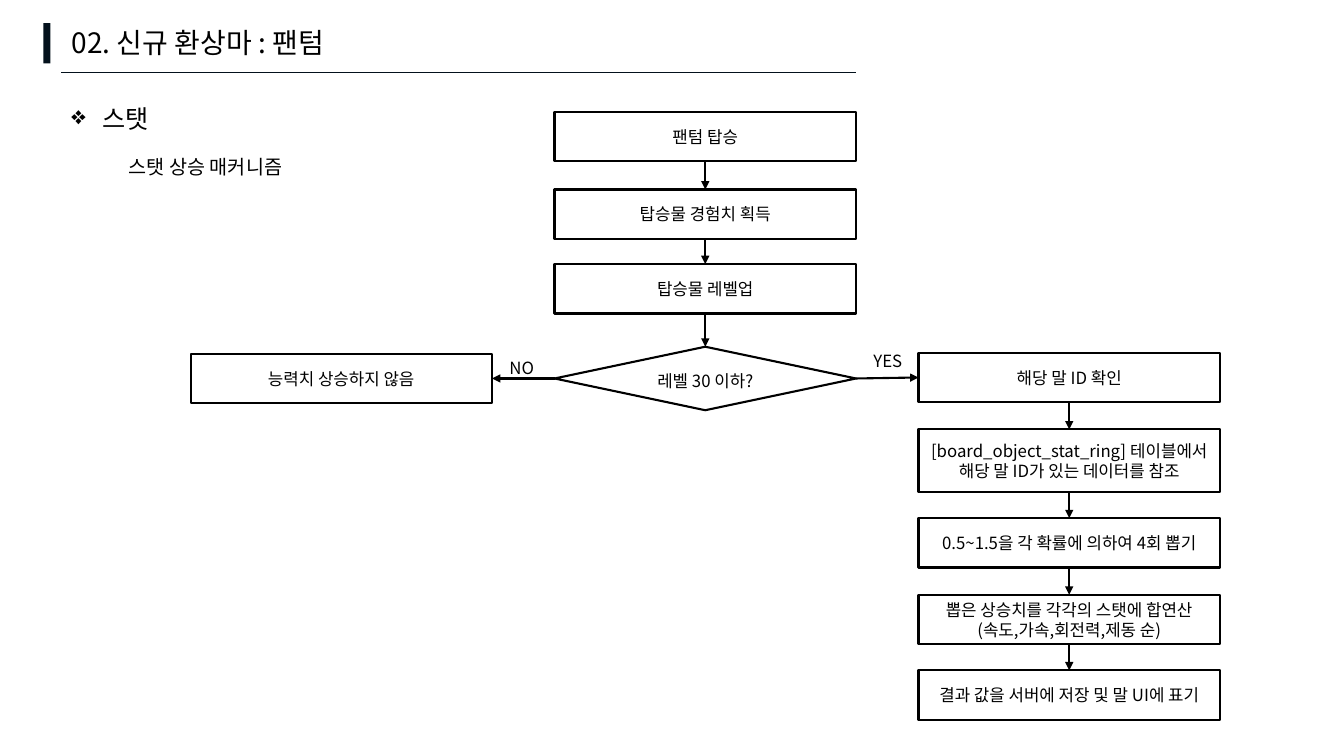
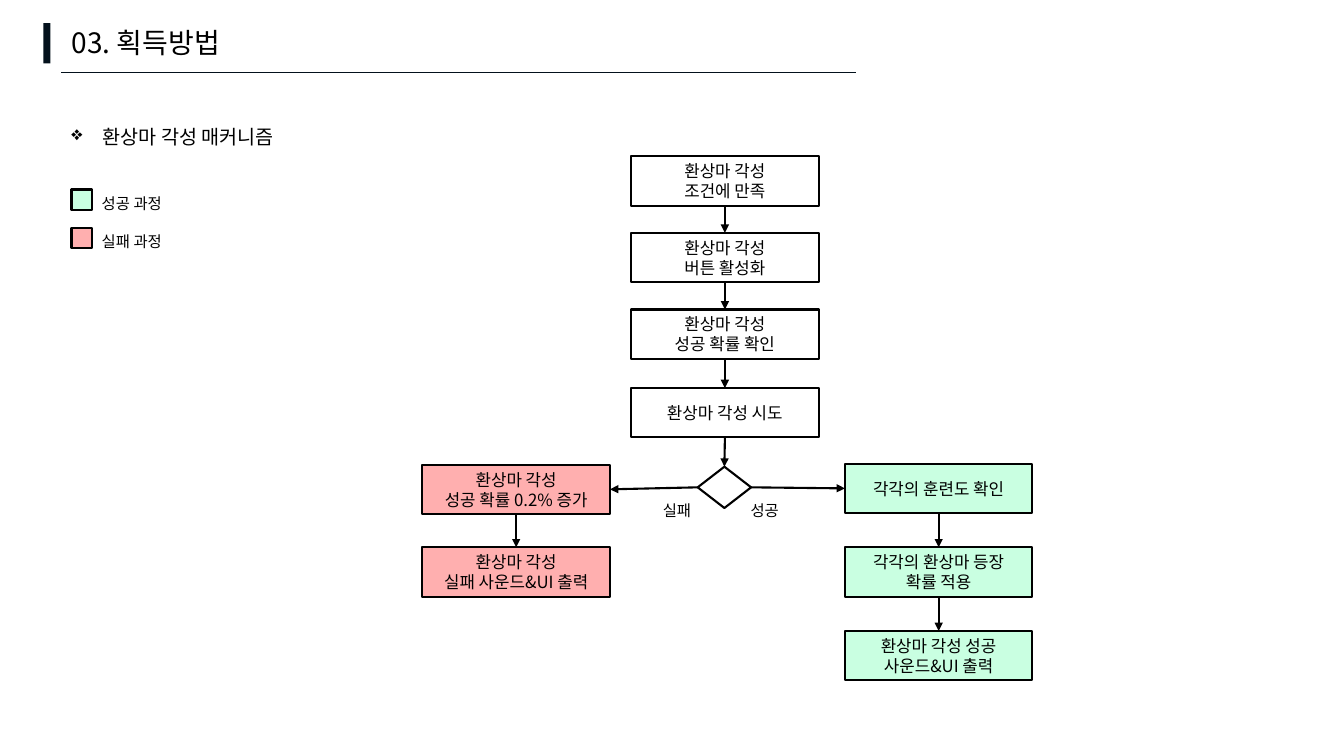
from dataclasses import dataclass

from lxml import etree
from pptx import Presentation
from pptx import util as u
from pptx.dml.color import RGBColor
from pptx.enum import shapes, text
from pptx.oxml.ns import qn
from pptx.shapes.autoshape import Shape
from pptx.slide import Slide

FONT = "Noto Sans CJK KR"
BLACK, WHITE, NAVY = "000000", "FFFFFF", "03111C"
GREEN, RED = "C9FFE1", "FFAFAF"
STEP_HEIGHT = 0.49
TOP, LEFT, BOTTOM, RIGHT = range(4)  # connection sites of a box or diamond


@dataclass
class Step:
    top: float
    words: str
    height: float = STEP_HEIGHT


@dataclass
class Column:
    left: float
    width: float
    steps: list[Step]
    fill: str = WHITE


@dataclass
class Label:
    left: float
    top: float
    width: float
    height: float
    words: str
    size: int
    centred: bool = False
    bullet: bool = False


def colour(value: str) -> RGBColor:
    return RGBColor.from_string(value)


def write(frame, words: str, size: int, align=text.PP_ALIGN.LEFT,
          spacing: float = 1.0, bullet: bool = False) -> None:
    """Fill a text frame with one paragraph, broken at each newline."""
    frame.word_wrap = True
    para = frame.paragraphs[0]
    para.alignment = align
    para.line_spacing = spacing
    if bullet:
        props = para._p.get_or_add_pPr()
        indent = u.Inches(0.31)
        props.set("marL", str(indent))
        props.set("indent", str(-indent))
        etree.SubElement(props, qn("a:buChar")).set("char", "❖")
    for number, line in enumerate(words.split("\n")):
        if number:
            para.add_line_break()
        span = para.add_run()
        span.text = line
        span.font.size = u.Pt(size)
        span.font.name = FONT
        span.font.color.rgb = colour(BLACK)
        east_asian = etree.SubElement(span.font._element, qn("a:ea"))
        east_asian.set("typeface", FONT)


def add_block(page: Slide, left: float, top: float, width: float, height: float,
              fill: str = WHITE, outlined: bool = True,
              kind=shapes.MSO_SHAPE.RECTANGLE) -> Shape:
    block = page.shapes.add_shape(kind, u.Inches(left), u.Inches(top),
                                  u.Inches(width), u.Inches(height))
    block.shadow.inherit = False
    block.fill.solid()
    block.fill.fore_color.rgb = colour(fill)
    if outlined:
        block.line.color.rgb = colour(BLACK)
        block.line.width = u.Pt(1.5)
    else:
        block.line.fill.background()
    return block


def add_line(page: Slide, start: tuple[float, float], end: tuple[float, float],
             ink: str, weight: float):
    line = page.shapes.add_connector(
        shapes.MSO_CONNECTOR.STRAIGHT, *(u.Inches(n) for n in (*start, *end)))
    line.line.color.rgb = colour(ink)
    line.line.width = u.Pt(weight)
    etree.SubElement(line._element.spPr, qn("a:effectLst"))
    return line


def add_arrow(page: Slide, source: Shape, target: Shape,
              leave: int = BOTTOM, enter: int = TOP) -> None:
    """Join two shapes with an arrow glued to their connection sites."""
    arrow = add_line(page, (0, 0), (1, 1), BLACK, 1.5)
    arrow.begin_connect(source, leave)
    arrow.end_connect(target, enter)
    head = etree.SubElement(arrow.line._get_or_add_ln(), qn("a:tailEnd"))
    head.set("type", "triangle")


def add_column(page: Slide, column: Column) -> list[Shape]:
    """Draw a column of steps, each with an arrow to the next."""
    boxes: list[Shape] = []
    for step in column.steps:
        box = add_block(page, column.left, step.top, column.width, step.height,
                        column.fill)
        frame = box.text_frame
        frame.margin_left = frame.margin_right = u.Inches(0.05)
        frame.vertical_anchor = text.MSO_ANCHOR.MIDDLE
        write(frame, step.words, 12, text.PP_ALIGN.CENTER)
        if boxes:
            add_arrow(page, boxes[-1], box)
        boxes.append(box)
    return boxes


def add_label(page: Slide, label: Label) -> None:
    box = page.shapes.add_textbox(u.Inches(label.left), u.Inches(label.top),
                                  u.Inches(label.width), u.Inches(label.height))
    align = text.PP_ALIGN.CENTER if label.centred else text.PP_ALIGN.LEFT
    write(box.text_frame, label.words, label.size, align, 1.5, label.bullet)


def add_page(deck, heading: str) -> Slide:
    """Add a slide with the shared title, side bar and rule."""
    page = deck.slides.add_slide(deck.slide_layouts[5])
    title = page.shapes.title
    title.left, title.top = u.Inches(0.61), u.Inches(0.2)
    title.width, title.height = u.Inches(7.88), u.Inches(0.44)
    title.text_frame.auto_size = text.MSO_AUTO_SIZE.NONE
    title.text_frame.vertical_anchor = text.MSO_ANCHOR.MIDDLE
    write(title.text_frame, heading, 20)
    add_block(page, 0.43, 0.23, 0.07, 0.4, NAVY, outlined=False)
    add_line(page, (0.61, 0.72), (8.49, 0.72), NAVY, 0.25)
    return page


def add_flow(page: Slide, main: Column, decision: tuple[float, float, float, float],
             no: Column, yes: Column) -> None:
    """Draw the main column, its decision and the branch on either side."""
    last = add_column(page, main)[-1]
    diamond = add_block(page, *decision, kind=shapes.MSO_SHAPE.DIAMOND)
    add_arrow(page, last, diamond)
    add_arrow(page, diamond, add_column(page, no)[0], LEFT, RIGHT)
    add_arrow(page, diamond, add_column(page, yes)[0], RIGHT, LEFT)


def build_stat_page(deck) -> None:
    page = add_page(deck, "02. 신규 환상마 : 팬텀")
    width = 2.99
    add_flow(
        page,
        Column(5.5, width, [Step(1.11, "팬텀 탑승"),
                            Step(1.88, "탑승물 경험치 획득"),
                            Step(2.62, "탑승물 레벨업")]),
        (5.5, 3.44, width, 0.63),
        Column(1.89, width, [Step(3.51, "능력치 상승하지 않음")]),
        Column(9.11, width, [
            Step(3.5, "해당 말 ID 확인"),
            Step(4.26, "[board_object_stat_ring] 테이블에서 "
                       "해당 말 ID가 있는 데이터를 참조", 0.62),
            Step(5.14, "0.5~1.5을 각 확률에 의하여 4회 뽑기"),
            Step(5.9, "뽑은 상승치를 각각의 스탯에 합연산\n(속도,가속,회전력,제동 순)"),
            Step(6.65, "결과 값을 서버에 저장 및 말 UI에 표기"),
        ]),
    )
    for label in (
        Label(0.61, 0.83, 9.53, 0.5, "스탯", 18, bullet=True),
        Label(1.18, 1.37, 5.58, 0.41, "스탯 상승 매커니즘", 14),
        Label(6.4, 3.53, 1.19, 0.37, "레벨 30 이하?", 12, centred=True),
        Label(4.58, 3.4, 1.19, 0.37, "NO", 12, centred=True),
        Label(8.21, 3.33, 1.19, 0.37, "YES", 12, centred=True),
    ):
        add_label(page, label)


def build_awakening_page(deck) -> None:
    page = add_page(deck, "03. 획득방법")
    width = 1.86
    add_flow(
        page,
        Column(6.26, width, [Step(1.55, "환상마 각성\n조건에 만족"),
                             Step(2.31, "환상마 각성\n버튼 활성화"),
                             Step(3.07, "환상마 각성\n성공 확률 확인"),
                             Step(3.85, "환상마 각성 시도")]),
        (6.92, 4.63, 0.53, 0.41),
        Column(4.19, width, [Step(4.61, "환상마 각성\n성공 확률 0.2% 증가"),
                             Step(5.43, "환상마 각성\n실패 사운드&UI 출력")], RED),
        Column(8.38, width, [Step(4.6, "각각의 훈련도 확인"),
                             Step(5.43, "각각의 환상마 등장\n확률 적용"),
                             Step(6.26, "환상마 각성 성공\n사운드&UI 출력")], GREEN),
    )
    # Legend
    for top, fill, words in ((1.88, GREEN, "성공 과정"), (2.26, RED, "실패 과정")):
        add_block(page, 0.71, top, 0.2, 0.2, fill)
        add_label(page, Label(0.91, top - 0.1, 1.29, 0.35, words, 11))
    for label in (
        Label(0.61, 1.07, 11.31, 0.41, "환상마 각성 매커니즘", 14, bullet=True),
        Label(6.31, 4.83, 0.81, 0.35, "실패", 11, centred=True),
        Label(7.18, 4.83, 0.81, 0.35, "성공", 11, centred=True),
    ):
        add_label(page, label)


def main() -> None:
    deck = Presentation()
    deck.slide_width, deck.slide_height = u.Inches(13.33), u.Inches(7.5)
    build_stat_page(deck)
    build_awakening_page(deck)
    deck.save("out.pptx")


if __name__ == "__main__":
    main()
